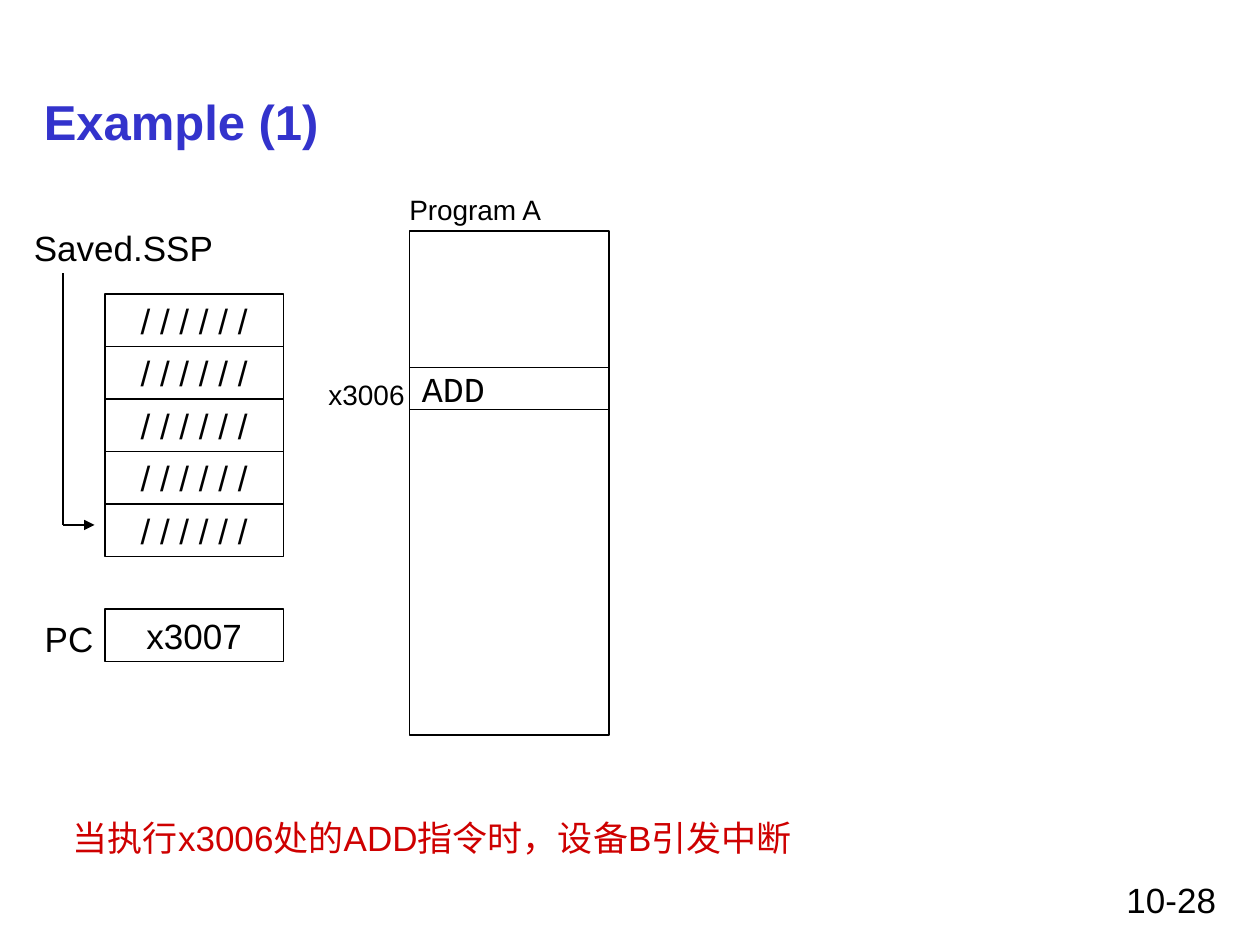
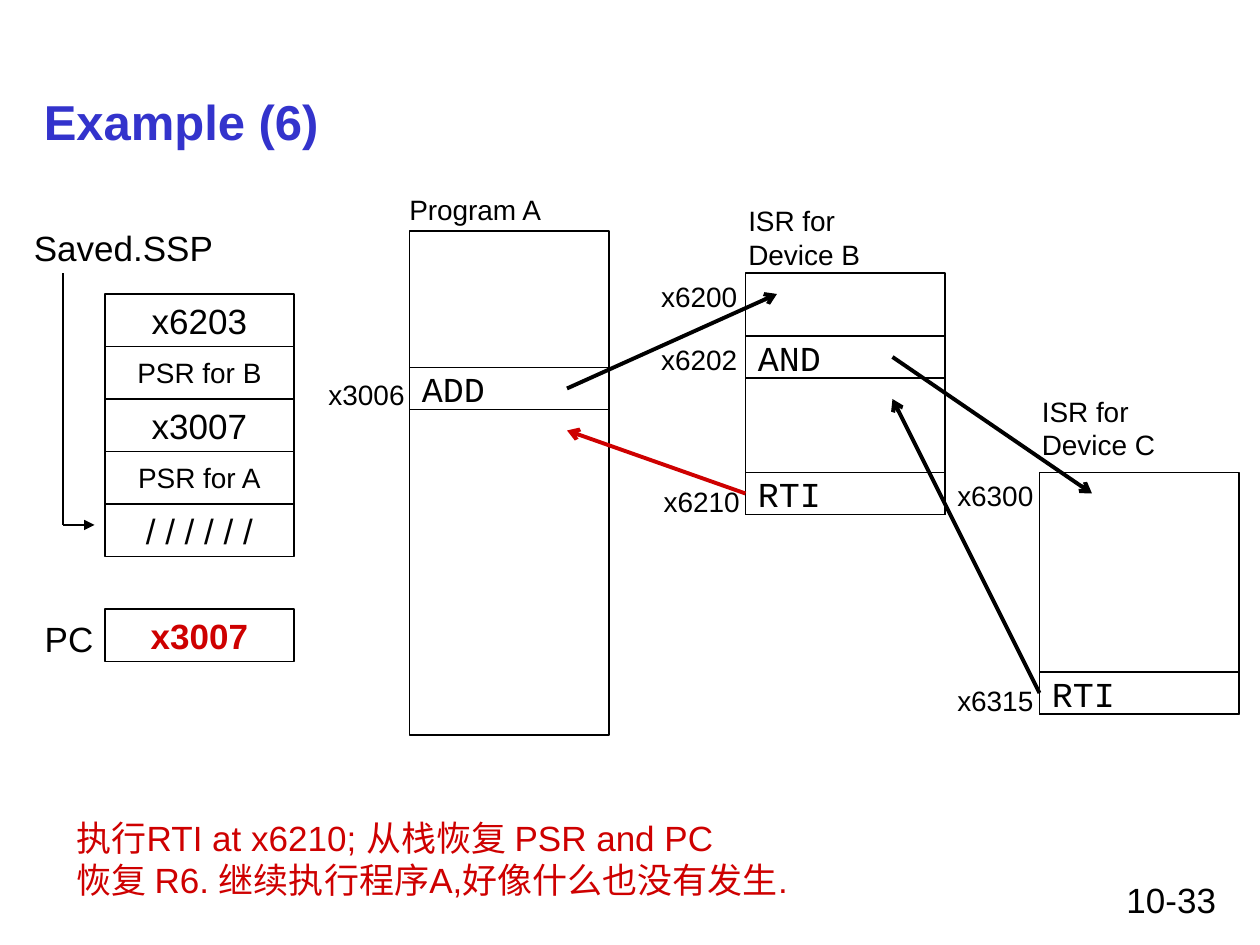
"""Build two slides that trace nested interrupts through a stack and memory."""
from dataclasses import dataclass, field
from typing import NamedTuple

from lxml.etree import SubElement
from pptx import Presentation
from pptx.dml.color import RGBColor
from pptx.enum.shapes import MSO_CONNECTOR as Connector
from pptx.enum.shapes import MSO_SHAPE as Shape
from pptx.enum.text import MSO_ANCHOR as Anchor
from pptx.enum.text import MSO_AUTO_SIZE as AutoSize
from pptx.enum.text import PP_ALIGN as Align
from pptx.oxml.ns import qn
from pptx.util import Inches, Length, Pt


@dataclass(frozen=True)
class Theme:
    """Colours, fonts, type sizes and line widths."""
    ink: RGBColor = RGBColor(0x00, 0x00, 0x00)
    blue: RGBColor = RGBColor(0x33, 0x33, 0xCC)
    red: RGBColor = RGBColor(0xCE, 0x00, 0x00)
    sans: str = "Arial"
    mono: str = "Courier New"
    title: Length = Pt(28)
    body: Length = Pt(20)
    small: Length = Pt(16)
    border: Length = Pt(0.75)
    pointer: Length = Pt(1.5)
    jump: Length = Pt(2.25)


THEME = Theme()
EMPTY = "/ / / / / /"
BLOCK_WIDTH = 19
INSTRUCTION_HEIGHT = 4
STACK_LEFT, STACK_TOP, SLOT_HEIGHT, PC_TOP = 10, 28, 5, 58


class Style(NamedTuple):
    """Look of one piece of text."""
    size: Length = THEME.body
    color: RGBColor = THEME.ink
    font: str = THEME.sans
    bold: bool = False
    align: Align = Align.LEFT


TITLE = Style(THEME.title, THEME.blue, bold=True)
CAPTION = Style(THEME.small)
ADDRESS = Style(THEME.small, align=Align.RIGHT)
RIGHT = Style(align=Align.RIGHT)
SLOT = Style(align=Align.CENTER)
SMALL_SLOT = Style(THEME.small, align=Align.CENTER)
CHANGED_SLOT = Style(color=THEME.red, bold=True, align=Align.CENTER)
CODE = Style(font=THEME.mono)
NOTE = Style(color=THEME.red)


class Box(NamedTuple):
    """Left, top, width and height in inches."""
    left: float
    top: float
    width: float
    height: float


class Slot(NamedTuple):
    """Value held in one stack or register cell."""
    text: str = EMPTY
    style: Style = SLOT


class Instruction(NamedTuple):
    """Instruction and its top in twelfths of an inch."""
    text: str
    top: int


class Address(NamedTuple):
    """Memory address and its label position in inches."""
    text: str
    left: float
    top: float


class Jump(NamedTuple):
    """Transfer of control between two points in twelfths of an inch."""
    start: tuple[int, int]
    end: tuple[int, int]
    color: RGBColor = THEME.ink


@dataclass(frozen=True)
class Program:
    """Block of memory, placed in twelfths of an inch."""
    left: int
    top: int
    height: int
    caption: str
    caption_box: Box
    instructions: list[Instruction]
    addresses: list[Address]


@dataclass(frozen=True)
class Example:
    """Content of one slide."""
    title: str
    page: str
    slot_width: int
    stack: list[Slot]
    pc: Slot
    note: str
    note_box: Box
    programs: list[Program]
    jumps: list[Jump] = field(default_factory=list)


PROGRAM_A = Program(39, 22, 48, "Program A", Box(3.15, 1.48, 1.26, 0.37),
                    [Instruction("ADD", 35)], [Address("x3006", 2.51, 2.95)])
DEVICE_B = Program(71, 26, 23, "ISR for\nDevice B", Box(5.84, 1.57, 1.08, 0.64),
                   [Instruction("AND", 32), Instruction("RTI", 45)],
                   [Address("x6200", 5.15, 2.17), Address("x6202", 5.15, 2.67),
                    Address("x6210", 5.17, 3.8)])
DEVICE_C = Program(99, 45, 23, "ISR for\nDevice C", Box(8.17, 3.08, 1.1, 0.64),
                   [Instruction("RTI", 64)],
                   [Address("x6300", 7.5, 3.75), Address("x6315", 7.5, 5.38)])

EXAMPLES = [
    Example("Example (1)", "10-28", 17, [Slot()] * 5, Slot("x3007"),
            "当执行x3006处的ADD指令时，设备B引发中断", Box(0.48, 6.43, 6.3, 0.44),
            [PROGRAM_A]),
    Example("Example (6)", "10-33", 18,
            [Slot("x6203"), Slot("PSR for B", SMALL_SLOT), Slot("x3007"),
             Slot("PSR for A", SMALL_SLOT), Slot()],
            Slot("x3007", CHANGED_SLOT),
            "执行RTI at x6210; 从栈恢复 PSR and PC\n恢复 R6. 继续执行程序A,好像什么也没有发生.",
            Box(0.51, 6.43, 6.26, 0.77), [PROGRAM_A, DEVICE_B, DEVICE_C],
            [Jump((54, 37), (74, 28)), Jump((85, 34), (104, 47)),
             Jump((99, 66), (85, 38)), Jump((71, 47), (54, 41), THEME.red)]),
]


def grid(steps: int) -> Length:
    """Turn twelfths of an inch into a length."""
    return Inches(steps / 12)


def write(frame, text: str, style: Style, **layout) -> None:
    """Fill a text frame with one styled paragraph."""
    for name, value in layout.items():
        setattr(frame, name, value)
    paragraph = frame.paragraphs[0]
    paragraph.text = text
    paragraph.alignment = style.align
    looks = {"size": style.size, "name": style.font, "bold": style.bold}
    for run in paragraph.runs:
        for name, value in looks.items():
            setattr(run.font, name, value)
        run.font.color.rgb = style.color


def add_label(slide, text: str, box: Box, style: Style) -> None:
    """Add text with no margin on the side away from its alignment."""
    frame = slide.shapes.add_textbox(*map(Inches, box)).text_frame
    free_side = "margin_left" if style.align == Align.RIGHT else "margin_right"
    write(frame, text, style, word_wrap=True, auto_size=AutoSize.NONE,
          **{free_side: Inches(0)})


def add_cell(slide, left: int, top: int, width: int, height: int,
             text: str = "", style: Style = SLOT) -> None:
    """Add an outlined cell measured in twelfths of an inch."""
    cell = slide.shapes.add_shape(Shape.RECTANGLE, *map(grid, (left, top, width, height)))
    cell.shadow.inherit = False
    cell.fill.background()
    cell.line.color.rgb = THEME.ink
    cell.line.width = THEME.border
    if text:
        write(cell.text_frame, text, style, word_wrap=False, vertical_anchor=Anchor.MIDDLE)


def add_arrow(slide, jump: Jump, width: Length, head: str = "") -> None:
    """Add a straight line with an optional head at its end."""
    line = slide.shapes.add_connector(Connector.STRAIGHT, *map(grid, jump.start + jump.end))
    line.line.color.rgb = jump.color
    line.line.width = width
    properties = line._element.spPr
    if head:
        SubElement(properties.find(qn("a:ln")), qn("a:tailEnd"), type=head)
    SubElement(properties, qn("a:effectLst"))


def add_frame(slide, title: str, page: str) -> None:
    """Add the title and the page number."""
    heading = slide.shapes.add_textbox(*map(Inches, (0.25, 0.67, 9.5, 0.58)))
    write(heading.text_frame, title, TITLE, word_wrap=True, vertical_anchor=Anchor.MIDDLE)
    footer = slide.shapes.add_textbox(*map(Inches, (7.17, 6.92, 2.58, 0.42)))
    write(footer.text_frame, page, RIGHT, word_wrap=True)


def add_stack(slide, example: Example) -> None:
    """Add the stack, its pointer and the program counter."""
    tops = [STACK_TOP + SLOT_HEIGHT * row for row in range(len(example.stack))]
    for top, slot in zip(tops + [PC_TOP], example.stack + [example.pc]):
        add_cell(slide, STACK_LEFT, top, example.slot_width, SLOT_HEIGHT, *slot)
    add_label(slide, "PC", Box(0.26, 4.85, 0.58, 0.44), RIGHT)
    add_label(slide, "Saved.SSP", Box(0.17, 1.75, 1.62, 0.44), RIGHT)
    add_arrow(slide, Jump((6, 50), (6, 26)), THEME.pointer)
    add_arrow(slide, Jump((6, 50), (9, 50)), THEME.pointer, "triangle")


def add_program(slide, program: Program) -> None:
    """Add a block of memory with its instructions and addresses."""
    add_cell(slide, program.left, program.top, BLOCK_WIDTH, program.height)
    add_label(slide, program.caption, program.caption_box, CAPTION)
    for instruction in program.instructions:
        add_cell(slide, program.left, instruction.top, BLOCK_WIDTH,
                 INSTRUCTION_HEIGHT, instruction.text, CODE)
    for address in program.addresses:
        add_label(slide, address.text, Box(address.left, address.top, 0.8, 0.37), ADDRESS)


def main() -> None:
    """Build and save the slides."""
    deck = Presentation()
    deck.slide_width, deck.slide_height = Inches(10), Inches(7.5)
    for example in EXAMPLES:
        slide = deck.slides.add_slide(deck.slide_layouts[6])
        add_frame(slide, example.title, example.page)
        add_stack(slide, example)
        for program in example.programs:
            add_program(slide, program)
        for jump in example.jumps:
            add_arrow(slide, jump, THEME.jump, "arrow")
        add_label(slide, example.note, example.note_box, NOTE)
    deck.save("out.pptx")


if __name__ == "__main__":
    main()
